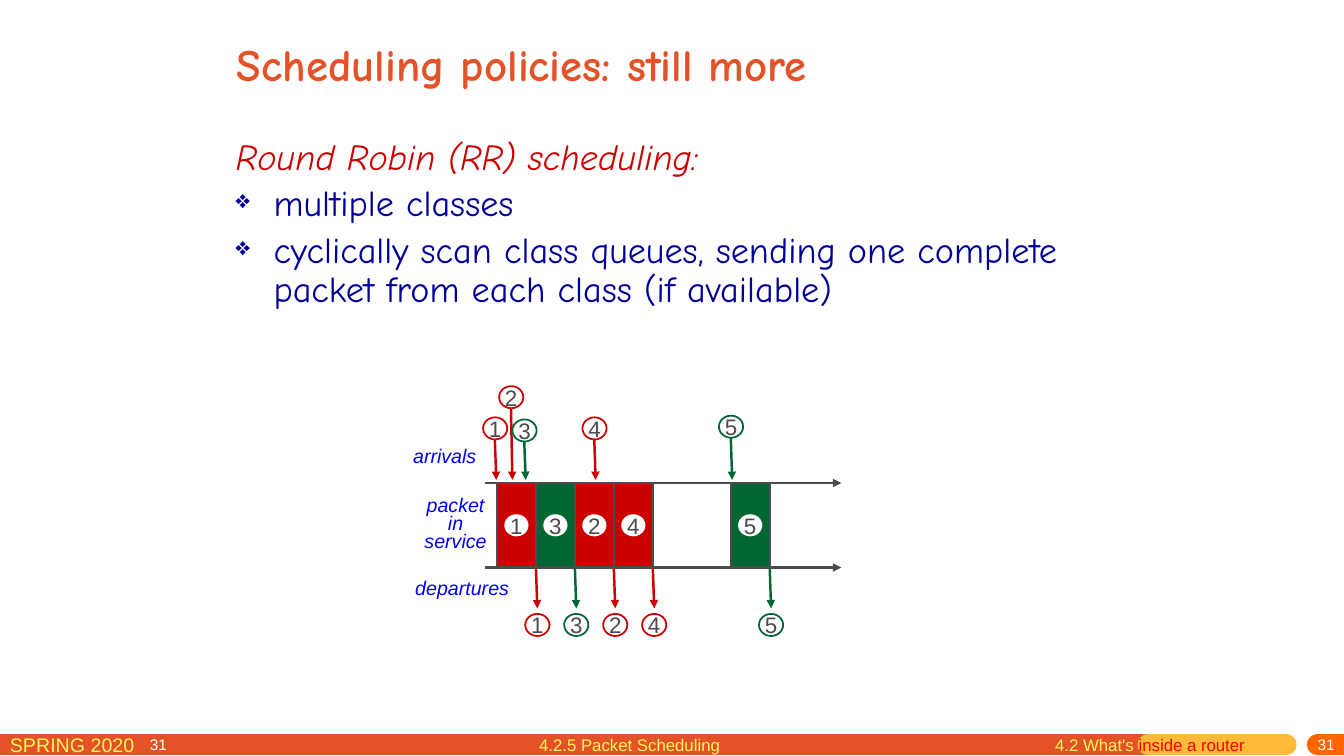
from pptx import Presentation
from pptx.dml.color import RGBColor
from pptx.enum.shapes import MSO_CONNECTOR, MSO_SHAPE
from pptx.enum.text import MSO_ANCHOR, PP_ALIGN
from pptx.oxml.ns import qn
from pptx.util import Pt
from lxml.etree import SubElement

RED, GREEN, GREY, WHITE = "CC0000", "006633", "4C4C4C", "FFFFFF"
ORANGE, YELLOW = "E45327", "FFF65C"
HUES = {1: RED, 2: RED, 3: GREEN, 4: RED, 5: GREEN}
COMIC = "Comic Neue"


def color(code):
    return RGBColor.from_string(code)


def apply(item, **values):
    for name, value in values.items():
        setattr(item, name, value)


def write(para, text, size, hue, name="Arial", **style):
    run = para.add_run()
    run.text = text
    apply(run.font, size=Pt(size), name=name, **style)
    run.font.color.rgb = color(hue)


def label(slide, box, text, size, hue, wrap=True, frame={}, para={}, **style):
    """Add a text box with one paragraph and return that paragraph."""
    area = slide.shapes.add_textbox(*map(Pt, box)).text_frame
    apply(area, word_wrap=wrap, **frame)
    first = area.paragraphs[0]
    apply(first, **para)
    write(first, text, size, hue, **style)
    return first


def stroke(slide, start, end, hue, width, arrow=False, cap=None):
    line = slide.shapes.add_connector(
        MSO_CONNECTOR.STRAIGHT, *map(Pt, (*start, *end)))
    line.line.width = Pt(width)
    line.line.color.rgb = color(hue)
    pen = line.line._get_or_add_ln()
    if cap:
        pen.set("cap", cap)
    if arrow:
        SubElement(pen, qn("a:tailEnd"), type="triangle")
    SubElement(line._element.spPr, qn("a:effectLst"))


def block(slide, kind, box, fill, edge=None):
    shape = slide.shapes.add_shape(kind, *map(Pt, box))
    shape.shadow.inherit = False
    shape.fill.solid()
    shape.fill.fore_color.rgb = color(fill)
    if edge:
        shape.line.width = Pt(1.25)
        shape.line.color.rgb = color(edge)
    else:
        shape.line.fill.background()
    return shape


def badge(slide, x, y, number, edge=None):
    """Draw a numbered circle centred on x, y."""
    wide, high = 17.3, 15.8
    oval = block(slide, MSO_SHAPE.OVAL,
                 (x - wide / 2, y - high / 2, wide, high), WHITE, edge)
    area = oval.text_frame
    apply(area, word_wrap=False, vertical_anchor=MSO_ANCHOR.MIDDLE,
          margin_left=0, margin_right=0, margin_top=0, margin_bottom=0)
    area.paragraphs[0].alignment = PP_ALIGN.CENTER
    write(area.paragraphs[0], str(number), 16, GREY)


def footer(slide, x, y, wide):
    # Coloured bands
    mid = y + 12
    for left, right, hue in ((-13, 820, ORANGE), (820, 918.7, "FFBA37"),
                             (941, wide + 19, "FF6600")):
        stroke(slide, (x + left, mid), (x + right, mid), hue, 15, cap="rnd")
    # Term and slide numbers
    label(slide, (x, y, 165, 22.3), "SPRING 2020", 14, YELLOW)
    frame = dict(vertical_anchor=MSO_ANCHOR.MIDDLE,
                 margin_top=0, margin_bottom=Pt(3.6))
    for left, span, side in ((774, 186.5, PP_ALIGN.RIGHT),
                             (100, 39.6, PP_ALIGN.LEFT)):
        label(slide, (x + left, y + 7.5, span, 12), "31", 11, WHITE,
              frame=frame, para={"alignment": side})
    # Section names
    part = label(slide, (x + 746.6, y + 1.3, 158.4, 22.3),
                 "4.2 What's ", 12, YELLOW)
    write(part, "inside a router", 12, "FF0000")
    label(slide, (x + 378, y + 1.3, 198.7, 22.3),
          "4.2.5 Packet Scheduling", 12, YELLOW)


def heading(slide, box, text):
    title = slide.shapes.title
    apply(title, **dict(zip(("left", "top", "width", "height"), map(Pt, box))))
    title.text_frame.vertical_anchor = MSO_ANCHOR.MIDDLE
    para = title.text_frame.paragraphs[0]
    para.alignment = PP_ALIGN.LEFT
    write(para, text, 32, ORANGE, COMIC, bold=True)


def points(slide, box, lead, items):
    area = slide.shapes.add_textbox(*map(Pt, box)).text_frame
    area.word_wrap = True
    para = area.paragraphs[0]
    para.line_spacing = 0.9
    write(para, lead, 25.9, RED, COMIC, italic=True)
    for item in items:
        para = area.add_paragraph()
        apply(para, line_spacing=0.9, space_before=Pt(5.2))
        props = para._p.get_or_add_pPr()
        props.set("marL", str(Pt(27)))
        props.set("indent", str(-Pt(27)))
        SubElement(props, qn("a:buSzPct"), val="70000")
        SubElement(props, qn("a:buChar"), char="❖")
        write(para, item, 25.9, "000099", COMIC)


def timeline(slide, x, y):
    """Draw arrivals, service slots and departures from the top left x, y."""
    top, base = y + 70, y + 130.4
    first, step = x + 67, 27.83
    # Time axes
    for level in (top, base):
        stroke(slide, (x + 58.5, level), (x + 313, level), GREY, 2, True)
    # Service slots, with a departure at the end of each
    for number, slot in ((1, 0), (3, 1), (2, 2), (4, 3), (5, 6)):
        hue = HUES[number]
        left = first + slot * step
        block(slide, MSO_SHAPE.RECTANGLE, (left, top, step, 60), hue, GREY)
        badge(slide, left + step / 2, top + 30.2, number)
        end = left + step
        stroke(slide, (end, base + 0.6), (end + 1, base + 29.2),
               hue, 1.75, True)
        badge(slide, end + 1, base + 41, number, hue)
    # Arrivals
    for number, left, high in ((1, 65.5, 31), (2, 77, 8.7), (3, 86.5, 32.5),
                               (4, 136.5, 31), (5, 234, 29.8)):
        hue = HUES[number]
        stroke(slide, (x + left, y + high + 8), (x + left + 1, top - 2.2),
               hue, 1.75, True)
        badge(slide, x + left + 0.2, y + high, number, hue)
    # Row names
    blue = "0000FF"
    label(slide, (x, y + 38.2, 60, 24.5), "arrivals", 14, blue,
          wrap=False, italic=True)
    label(slide, (x + 1.5, y + 132.5, 82, 24.5), "departures", 14, blue,
          wrap=False, italic=True)
    label(slide, (x + 3.6, y + 77.8, 67.7, 46.8), "packet in service", 14,
          blue, italic=True,
          para=dict(alignment=PP_ALIGN.CENTER, line_spacing=Pt(12.8)))


def main():
    deck = Presentation()
    apply(deck, slide_width=Pt(960), slide_height=Pt(540))
    slide = deck.slides.add_slide(deck.slide_layouts[5])
    footer(slide, 0, 520, 960)
    heading(slide, (162, 0.7, 612, 90), "Scheduling policies: still more")
    points(slide, (161.3, 95.8, 642, 134), "Round Robin (RR) scheduling:",
           ("multiple classes",
            "cyclically scan class queues, sending one complete packet "
            "from each class (if available)"))
    timeline(slide, 288, 275)
    deck.save("out.pptx")


if __name__ == "__main__":
    main()
